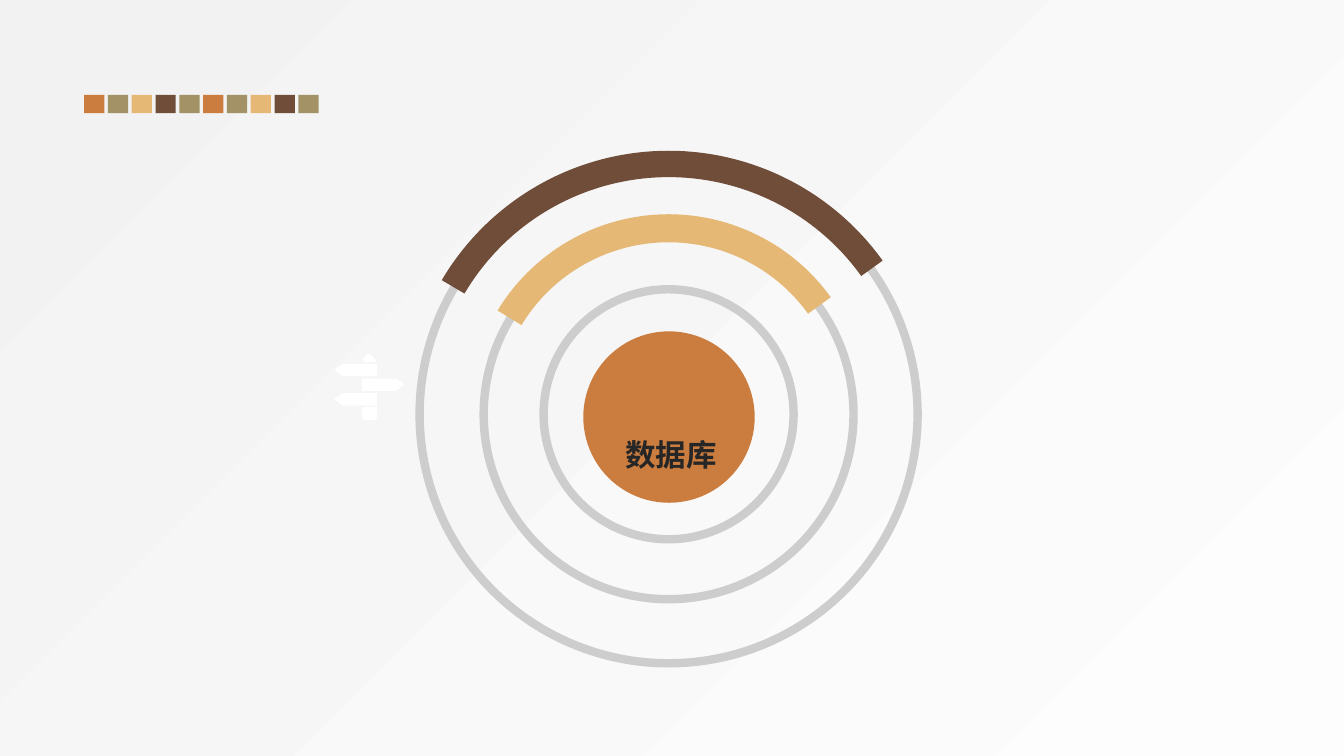
from lxml.etree import SubElement
from pptx import Presentation
from pptx.dml.color import RGBColor
from pptx.enum.shapes import MSO_SHAPE
from pptx.enum.text import MSO_ANCHOR, PP_ALIGN
from pptx.oxml.ns import qn
from pptx.util import Cm, Pt

ORANGE = RGBColor(0xCB, 0x7D, 0x40)
OLIVE = RGBColor(0xA2, 0x92, 0x66)
SAND = RGBColor(0xE6, 0xB8, 0x75)
BROWN = RGBColor(0x6F, 0x4D, 0x39)
RING_GREY = RGBColor(0xCD, 0xCD, 0xCD)
INK = RGBColor(0x26, 0x26, 0x26)
WHITE = RGBColor(0xFF, 0xFF, 0xFF)
BACK_LIGHT = RGBColor(0xFD, 0xFD, 0xFD)
BACK_DARK = RGBColor(0xF2, 0xF2, 0xF2)
FONT = "Noto Sans CJK SC"

presentation = Presentation()
presentation.slide_width = Cm(33.87)
presentation.slide_height = Cm(19.05)
slide = presentation.slides.add_slide(presentation.slide_layouts[6])


def paint(shape, fill=None, line=None):
    shape.shadow.inherit = False
    if fill is None:
        shape.fill.background()
    else:
        shape.fill.solid()
        shape.fill.fore_color.rgb = fill
    if line is None:
        shape.line.fill.background()
    else:
        shape.line.color.rgb = line
        shape.line.width = Pt(6)


def add_text(text, left, top, width, height, size, color, bold=False):
    box = slide.shapes.add_textbox(Cm(left), Cm(top), Cm(width), Cm(height))
    frame = box.text_frame
    frame.word_wrap = True
    frame.vertical_anchor = MSO_ANCHOR.MIDDLE
    paragraph = frame.paragraphs[0]
    paragraph.alignment = PP_ALIGN.CENTER
    paragraph.line_spacing = 0.9
    run = paragraph.add_run()
    run.text = text
    run.font.size = Pt(size)
    run.font.bold = bold
    run.font.name = FONT
    run.font.color.rgb = color
    SubElement(run.font._element, qn("a:ea"), typeface=FONT)


backdrop = slide.background.fill
backdrop.gradient()
for stop, color, position in zip(backdrop.gradient_stops, (BACK_LIGHT, BACK_DARK), (0, 1)):
    stop.color.rgb = color
    stop.position = position
gradient = slide.background._cSld.find(".//" + qn("a:gradFill"))
gradient.remove(gradient.find(qn("a:lin")))
corner = SubElement(gradient, qn("a:path"), {"path": "circle"})
SubElement(corner, qn("a:fillToRect"), l="100000", t="100000")

center_x, center_y = 16.85, 10.44
rings = [
    (6.3, None),
    (9.32, (10.08, 325, (147.75, 215.52, 0.07), SAND)),
    (12.55, (13.28, 325.1, (147.3, 215.54, 0.05), BROWN)),
]
for diameter, highlight in rings:
    ring = slide.shapes.add_shape(
        MSO_SHAPE.OVAL, Cm(center_x - diameter / 2), Cm(center_y - diameter / 2),
        Cm(diameter), Cm(diameter))
    paint(ring, line=RING_GREY)
    if highlight:
        span, rotation, bends, color = highlight
        arc = slide.shapes.add_shape(
            MSO_SHAPE.BLOCK_ARC, Cm(center_x - span / 2), Cm(center_y - span / 2),
            Cm(span), Cm(span))
        arc.rotation = rotation
        for index, bend in enumerate(bends):
            arc.adjustments[index] = bend
        paint(arc, color)

core = slide.shapes.add_shape(MSO_SHAPE.OVAL, Cm(14.7), Cm(8.35), Cm(4.32), Cm(4.32))
paint(core, ORANGE)
add_text("数据库", 14.91, 10.97, 4.01, 1.07, size=21.8, color=INK, bold=True)

board = [(866, 0), (950, 0), (950, 31), (866, 31), (861, 29),
         (846, 18), (843, 15), (846, 12), (861, 2)]
post_top = [(917, 912), (945, 912), (947, 907), (935, 894), (927, 891), (922, 894), (914, 907)]
post_foot = [(912, 1026), (950, 1026), (950, 1054), (945, 1059), (917, 1059), (912, 1054)]
signpost = [
    post_top,
    [(x, y + 917) for x, y in board],
    [(1862 - x, y + 954) for x, y in board],
    [(x, y + 991) for x, y in board],
    post_foot,
]
for outline in signpost:
    builder = slide.shapes.build_freeform(*outline[0], scale=Cm(0.01))
    builder.add_line_segments(outline[1:], close=True)
    paint(builder.convert_to_shape(), WHITE)

swatches = [ORANGE, OLIVE, SAND, BROWN, OLIVE] * 2
for index, color in enumerate(swatches):
    swatch = slide.shapes.add_shape(
        MSO_SHAPE.RECTANGLE, Cm(2.12 + 0.6 * index), Cm(2.39), Cm(0.51), Cm(0.46))
    paint(swatch, color)

presentation.save("out.pptx")
